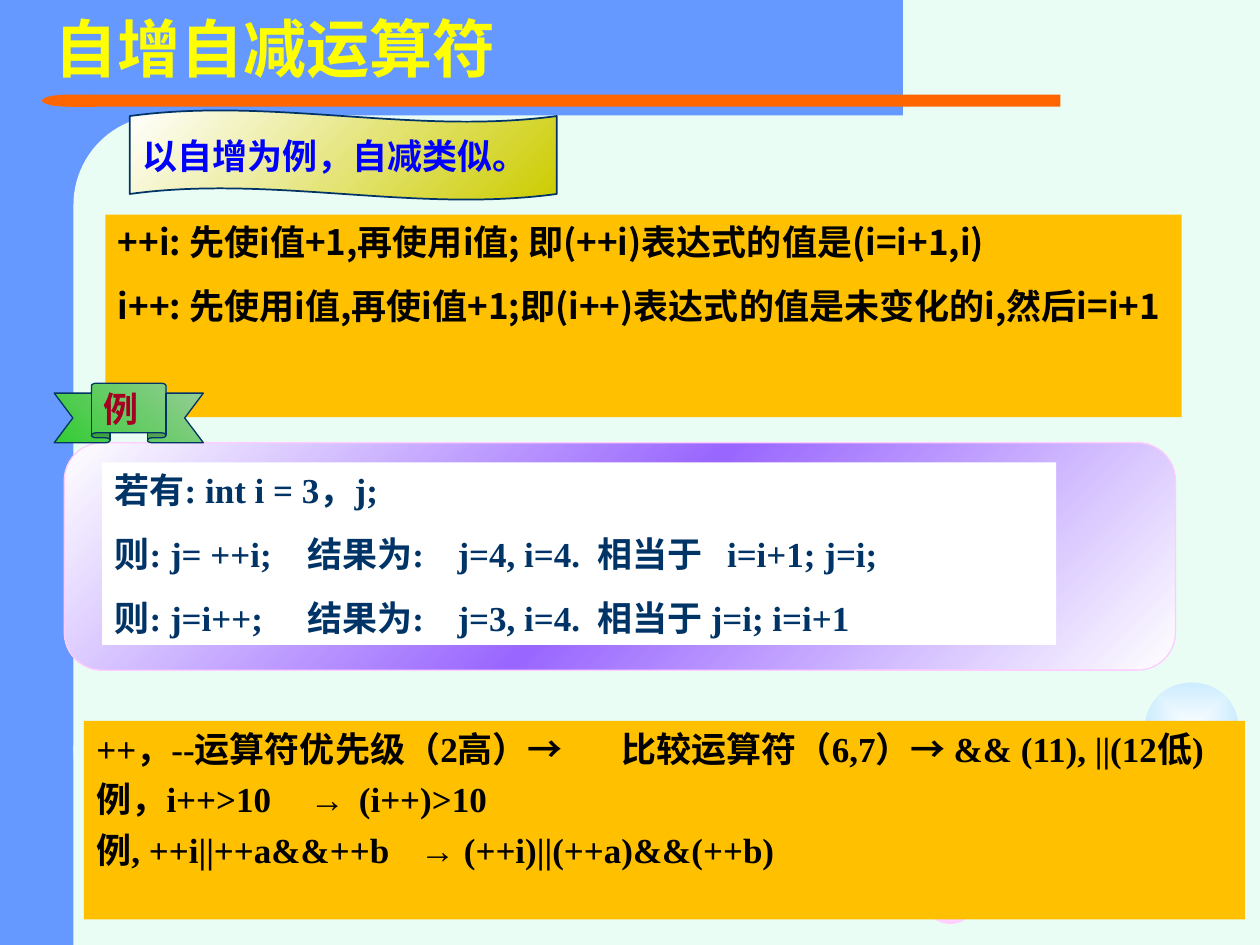
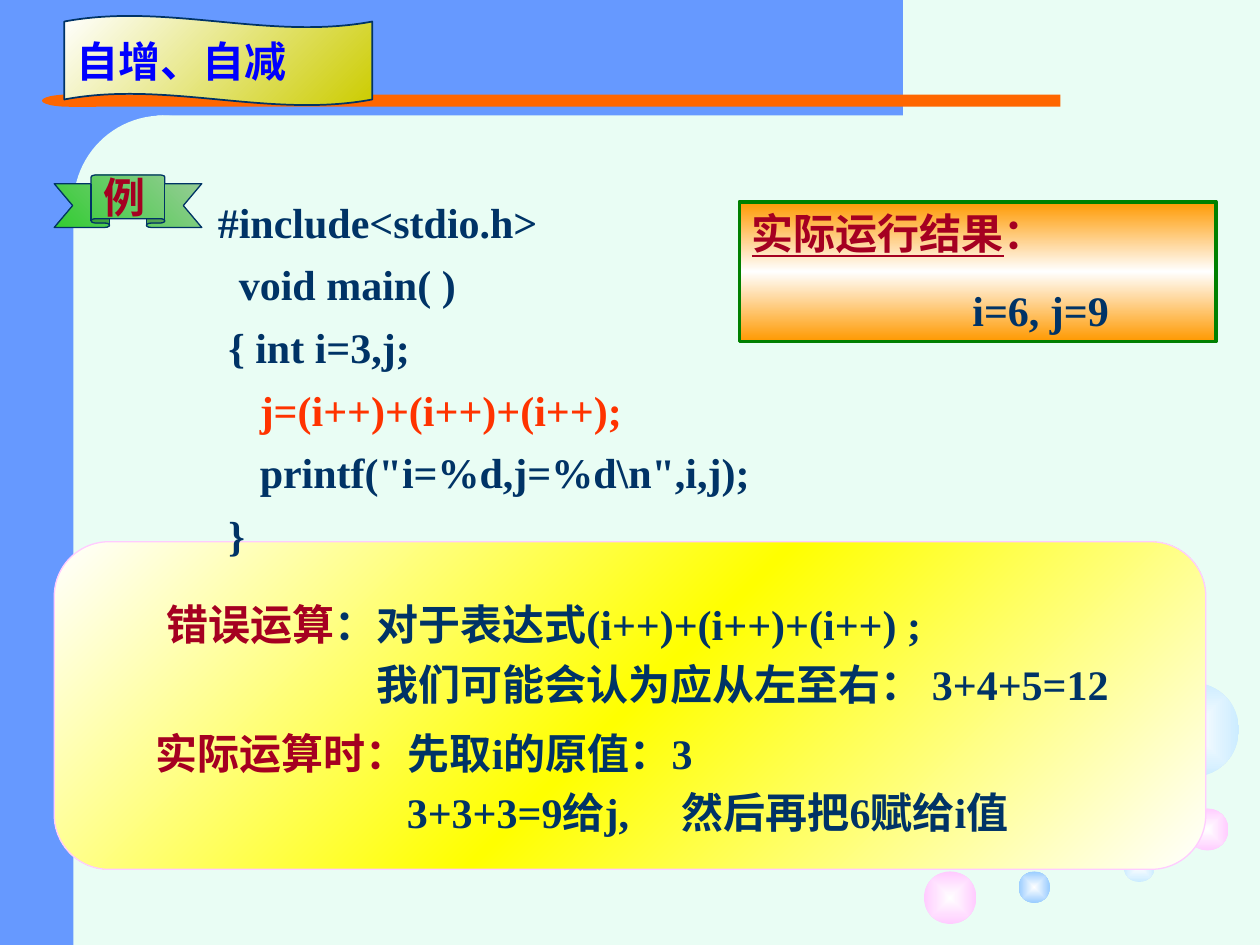
import pptx
import pptx.util
import pptx.dml.color
import pptx.enum.shapes
import pptx.enum.text
import pptx.oxml
import pptx.oxml.ns

Pt = pptx.util.Pt
RGBColor = pptx.dml.color.RGBColor
Kind = pptx.enum.shapes.MSO_SHAPE
MIDDLE = pptx.enum.text.MSO_ANCHOR.MIDDLE
qn = pptx.oxml.ns.qn
NAMESPACE = pptx.oxml.ns.nsdecls("a")

MINT = RGBColor(0xE9, 0xFD, 0xF4)
BLUE = RGBColor(0x66, 0x99, 0xFF)
ORANGE = RGBColor(0xFF, 0x66, 0x00)
AMBER = RGBColor(0xFF, 0xC0, 0x00)
WHITE = RGBColor(0xFF, 0xFF, 0xFF)
BLACK = RGBColor(0x00, 0x00, 0x00)
NAVY = RGBColor(0x00, 0x33, 0x66)
CRIMSON = RGBColor(0xA5, 0x00, 0x21)
LABEL_BLUE = RGBColor(0x00, 0x00, 0xFF)
YELLOW = RGBColor(0xFF, 0xFF, 0x00)
CODE_RED = RGBColor(0xFF, 0x33, 0x00)
PINK = RGBColor(0xFF, 0xCC, 0xFF)
SKY = RGBColor(0xCC, 0xEC, 0xFF)
PALE_BLUE = RGBColor(0x99, 0xCC, 0xFF)
PURPLE = RGBColor(0x99, 0x66, 0xFF)
OLIVE = RGBColor(0xCC, 0xCC, 0x00)
SAGE = RGBColor(0x99, 0xCC, 0x99)
LEAF = RGBColor(0x33, 0xCC, 0x33)
GREEN = RGBColor(0x00, 0x80, 0x00)
TANGERINE = RGBColor(0xFF, 0x99, 0x00)

SERIF = "Times New Roman"
SANS = "Arial"
CHINESE = "Noto Sans CJK SC"


def add_shape(slide, kind, box, fill, angle=None, line=None, width=0.75):
    shape = slide.shapes.add_shape(kind, *[Pt(length) for length in box])
    shape.shadow.inherit = False
    if isinstance(fill, RGBColor):
        shape.fill.solid()
        shape.fill.fore_color.rgb = fill
    else:
        stops = "".join(
            f'<a:gs pos="{100000 * index // (len(fill) - 1)}"><a:srgbClr val="{color}"/></a:gs>'
            for index, color in enumerate(fill))
        if angle is None:
            direction = ('<a:path path="rect"><a:fillToRect l="50000" t="50000" '
                         'r="50000" b="50000"/></a:path>')
        else:
            direction = f'<a:lin ang="{angle * 60000}" scaled="0"/>'
        gradient = pptx.oxml.parse_xml(
            f'<a:gradFill {NAMESPACE} rotWithShape="1"><a:gsLst>{stops}</a:gsLst>'
            f'{direction}</a:gradFill>')
        shape._element.spPr.find(qn("a:prstGeom")).addnext(gradient)
    if line is None:
        shape.line.fill.background()
    else:
        shape.line.color.rgb = line
        shape.line.width = Pt(width)
    return shape


def add_text(shape, paragraphs, size=20, color=BLACK, font=SERIF, space=0,
             spacing=None, tabs=(), anchor=pptx.enum.text.MSO_ANCHOR.TOP, wrap=True):
    frame = shape.text_frame
    frame.word_wrap = wrap
    frame.vertical_anchor = anchor
    for index, runs in enumerate(paragraphs):
        paragraph = frame.paragraphs[0] if index == 0 else frame.add_paragraph()
        if tabs:
            stops = "".join(f'<a:tab pos="{Pt(stop)}" algn="l"/>' for stop in tabs)
            paragraph._p.get_or_add_pPr().append(
                pptx.oxml.parse_xml(f"<a:tabLst {NAMESPACE}>{stops}</a:tabLst>"))
        paragraph.alignment = pptx.enum.text.PP_ALIGN.LEFT
        if index:
            paragraph.space_before = Pt(space)
        if spacing:
            paragraph.line_spacing = spacing
        for text, own in [(runs, {})] if isinstance(runs, str) else runs:
            run = paragraph.add_run()
            run.text = text
            run.font.size = Pt(size)
            run.font.bold = True
            run.font.name = own.get("font", font)
            run.font.color.rgb = own.get("color", color)
            if own.get("underline"):
                run.font.underline = True
            run.font._element.find(qn("a:latin")).addnext(
                pptx.oxml.parse_xml(f'<a:ea {NAMESPACE} typeface="{CHINESE}"/>'))


presentation = pptx.Presentation()
presentation.slide_width = Pt(720)
presentation.slide_height = Pt(540)

shared_bubbles = [(528, 498, 30, PINK), (654, 390, 54, SKY)]
extra_bubbles = [(642, 486, 18, SKY), (678, 462, 24, PINK), (582, 498, 18, PALE_BLUE)]
slides = []
for bubbles in (shared_bubbles, shared_bubbles + extra_bubbles):
    slide = presentation.slides.add_slide(presentation.slide_layouts[6])
    slide.background.fill.solid()
    slide.background.fill.fore_color.rgb = MINT
    add_shape(slide, Kind.RECTANGLE, (0, 0, 90, 540), BLUE)
    add_shape(slide, Kind.RECTANGLE, (36, 0, 480, 66), BLUE)
    corner = add_shape(slide, Kind.ROUNDED_RECTANGLE, (42, 66, 102, 414), MINT)
    corner.adjustments[0] = 0.5
    add_shape(slide, Kind.RECTANGLE, (54, 54, 552, 7), ORANGE)
    rule_end = add_shape(slide, Kind.FLOWCHART_DELAY, (24, 54, 31, 7), ORANGE)
    rule_end.rotation = 180
    add_shape(slide, Kind.RECTANGLE, (42, 426, 102, 114), MINT)
    for left, top, diameter, color in bubbles:
        add_shape(slide, Kind.OVAL, (left, top, diameter, diameter), (WHITE, color))
    slides.append(slide)
rules_slide, example_slide = slides

rules = add_shape(rules_slide, Kind.RECTANGLE, (60.3, 122.6, 615, 115.8), AMBER)
add_text(rules, ["++i: 先使i值+1,再使用i值; 即(++i)表达式的值是(i=i+1,i)",
                 "i++: 先使用i值,再使i值+1;即(i++)表达式的值是未变化的i,然后i=i+1"],
         font=CHINESE, space=12.5)

add_shape(rules_slide, Kind.FLOWCHART_ALTERNATE_PROCESS, (36.7, 253, 635, 130),
          (WHITE, PURPLE, WHITE), angle=225, line=PINK)
results = add_shape(rules_slide, Kind.RECTANGLE, (58.4, 264.2, 545.2, 104.4), WHITE)
add_text(results, ["若有: int i = 3，j;",
                   "则: j= ++i;\t结果为:\tj=4, i=4.\t相当于\ti=i+1; j=i;",
                   "则: j=i++;\t结果为:\tj=3, i=4.\t相当于 j=i; i=i+1"],
         color=NAVY, space=12.5, tabs=(110, 196, 276, 350))

for slide, text, size, wave_box, ribbon_box in (
        (rules_slide, "以自增为例，自减类似。", 20, (74.2, 63, 244, 51.2), (31, 219, 85.2, 34)),
        (example_slide, "自增、自减", 24, (36.7, 9, 176, 51.2), (31, 100, 84.3, 30))):
    wave = add_shape(slide, Kind.WAVE, wave_box, (OLIVE, WHITE), angle=225, line=NAVY, width=1)
    wave.adjustments[0] = 0.065
    add_text(wave, [text], size=size, color=LABEL_BLUE, anchor=MIDDLE, wrap=False)
    ribbon = add_shape(slide, Kind.UP_RIBBON, ribbon_box, (SAGE, LEAF), angle=135, line=NAVY)
    add_text(ribbon, ["例"], size=size, color=CRIMSON, font="Cabin", anchor=MIDDLE, wrap=False)

title = rules_slide.shapes.add_textbox(Pt(24), Pt(0), Pt(606), Pt(60))
add_text(title, ["自增自减运算符"], size=36, color=YELLOW, font=SANS, spacing=0.9, anchor=MIDDLE)

arrow = {"font": SANS}
precedence = add_shape(rules_slide, Kind.RECTANGLE, (48, 412, 663.4, 113.4), AMBER)
add_text(precedence, [
    [("++，--运算符优先级（2高）", {}), ("→\t", arrow), ("比较运算符（6,7）", {}),
     ("→ ", arrow), ("&& (11), ||(12低)", {})],
    [("例，i++>10\t", {}), ("→\t", arrow), ("(i++)>10", {})],
    [("例, ++i||++a&&++b\t", {}), ("→", arrow), (" (++i)||(++a)&&(++b)", {})],
], space=5, tabs=(122, 150, 185, 300))

add_shape(example_slide, Kind.ROUNDED_RECTANGLE, (31, 309.6, 658, 187.2),
          (WHITE, YELLOW, WHITE), angle=225, line=PINK)

accent = {"color": CRIMSON}
mistake = example_slide.shapes.add_textbox(Pt(88), Pt(332.6), Pt(567), Pt(76))
add_text(mistake, [[("错误运算", accent), ("：对于表达式(i++)+(i++)+(i++) ;", {})],
                   "\t我们可能会认为应从左至右： 3+4+5=12"],
         size=24, color=NAVY, spacing=1.2, tabs=(120,))

code = example_slide.shapes.add_textbox(Pt(117.4), Pt(108.5), Pt(330), Pt(210))
add_text(code, ["#include<stdio.h>",
                "  void main( )",
                " { int i=3,j;",
                [("    j=(i++)+(i++)+(i++);", {"color": CODE_RED})],
                '    printf("i=%d,j=%d\\n",i,j);',
                " }"],
         size=24, color=NAVY, space=7)

output = add_shape(example_slide, Kind.RECTANGLE, (422.6, 115.2, 272.2, 80),
                   (TANGERINE, WHITE, TANGERINE), angle=90, line=GREEN, width=2.25)
add_text(output, [[("实际运行结果", {"color": CRIMSON, "underline": True}), ("：", accent)],
                  "\ti=6, j=9"],
         size=24, color=NAVY, space=15, tabs=(126,))

actual = example_slide.shapes.add_textbox(Pt(82), Pt(412), Pt(529), Pt(36))
add_text(actual, [[("实际运算时：", accent), ("先取i的原值：3", {})]], size=24, color=NAVY)
assignment = example_slide.shapes.add_textbox(Pt(225.4), Pt(445.7), Pt(418), Pt(36))
add_text(assignment, ["3+3+3=9给j,\t然后再把6赋给i值"], size=24, color=NAVY, tabs=(157,))

presentation.save("out.pptx")
